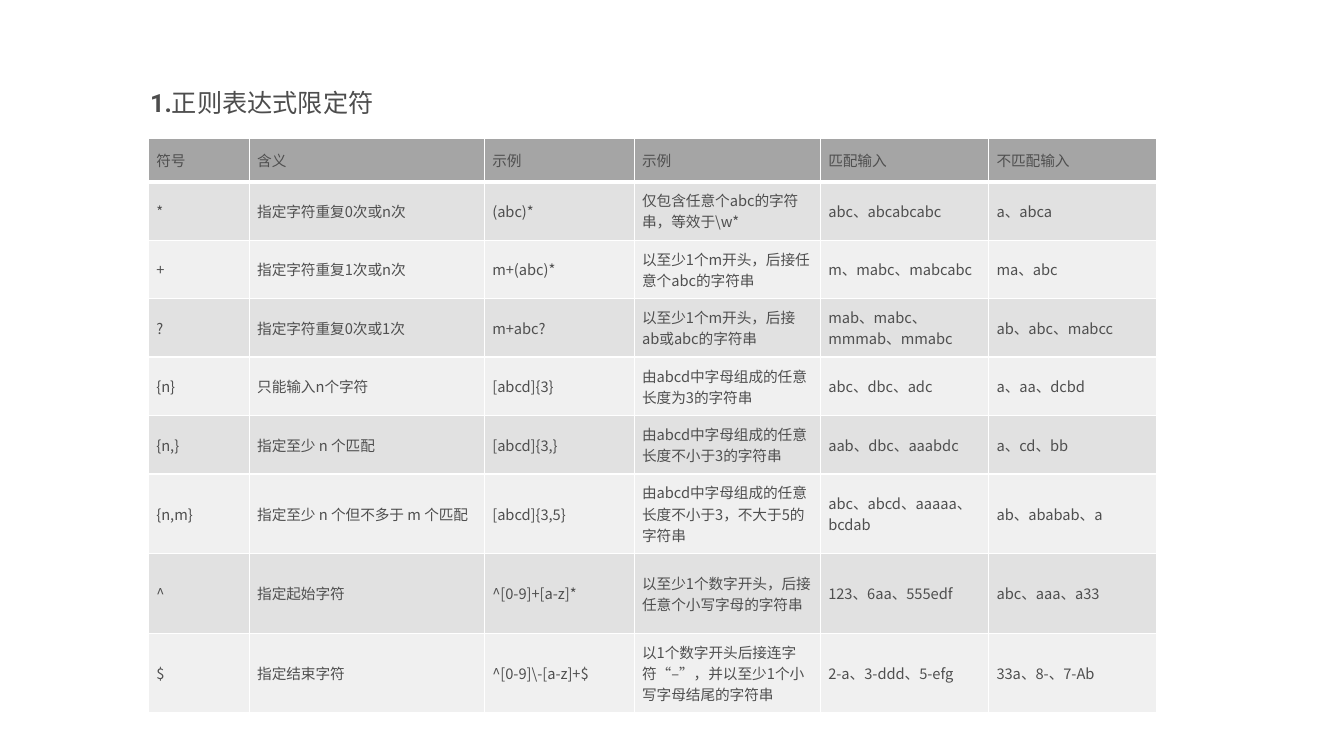
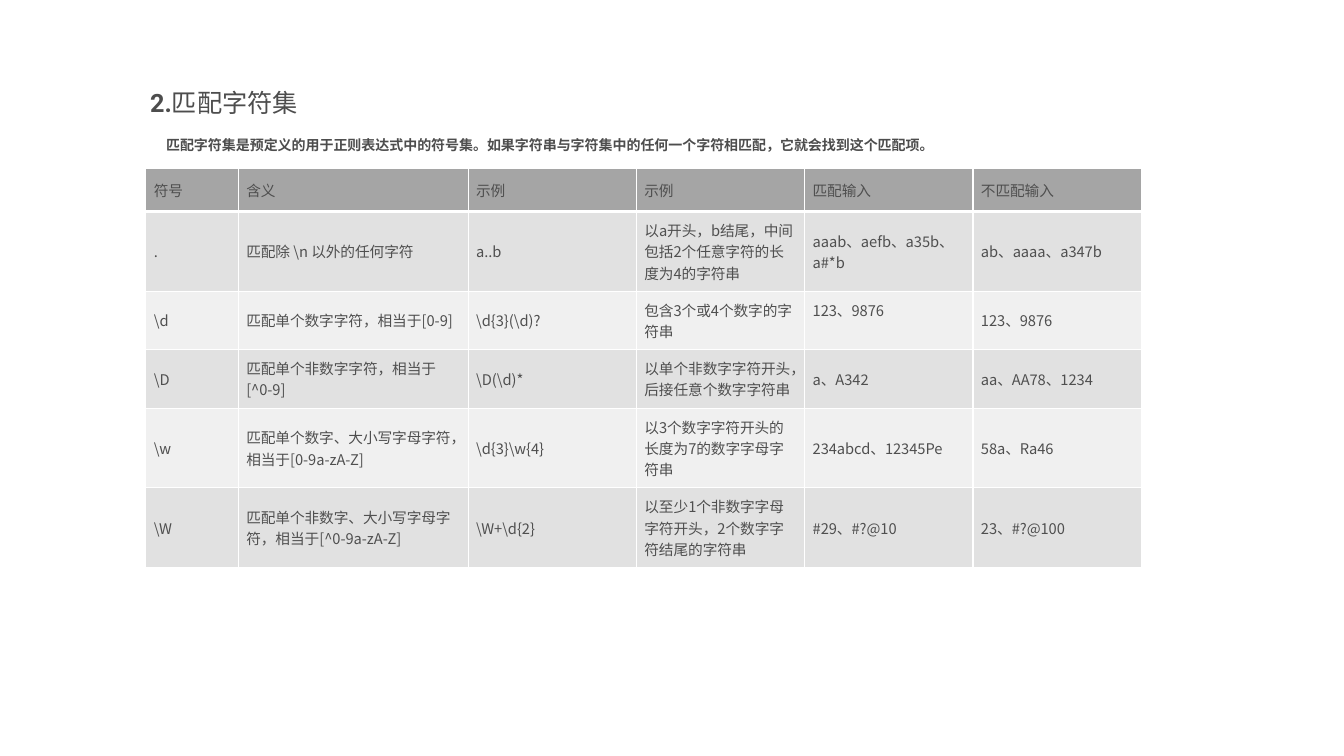
from lxml.etree import SubElement
from pptx import Presentation
from pptx.dml.color import RGBColor
from pptx.enum.text import MSO_ANCHOR, MSO_AUTO_SIZE, PP_ALIGN
from pptx.oxml.ns import qn
from pptx.util import Pt

TITLE_INK = "4D4D4D"
CELL_INK = "4F4F4F"
HEADER_FILL = "A5A5A5"
BAND_FILLS = ("E1E1E1", "F0F0F0")
RULE = "FFFFFF"
LATIN_FONT = "Roboto"
CJK_FONT = "Noto Sans CJK SC"
TITLE_ONLY = 5
CELL_INSET = 5.75
HEADER_HEIGHT, ROW_HEIGHT, TALL_ROW_HEIGHT = 31, 41, 51

HEADINGS = ("符号", "含义", "示例", "示例", "匹配输入", "不匹配输入")

QUANTIFIERS = (
    ("*", "指定字符重复0次或n次", "(abc)*",
     "仅包含任意个abc的字符串，等效于\\w*", "abc、abcabcabc", "a、abca"),
    ("+", "指定字符重复1次或n次", "m+(abc)*",
     "以至少1个m开头，后接任意个abc的字符串", "m、mabc、mabcabc", "ma、abc"),
    ("?", "指定字符重复0次或1次", "m+abc?",
     "以至少1个m开头，后接ab或abc的字符串",
     "mab、mabc、mmmab、mmabc", "ab、abc、mabcc"),
    ("{n}", "只能输入n个字符", "[abcd]{3}",
     "由abcd中字母组成的任意长度为3的字符串", "abc、dbc、adc", "a、aa、dcbd"),
    ("{n,}", "指定至少 n 个匹配", "[abcd]{3,}",
     "由abcd中字母组成的任意长度不小于3的字符串",
     "aab、dbc、aaabdc", "a、cd、bb"),
    ("{n,m}", "指定至少 n 个但不多于 m 个匹配", "[abcd]{3,5}",
     "由abcd中字母组成的任意长度不小于3，不大于5的字符串",
     "abc、abcd、aaaaa、bcdab", "ab、ababab、a"),
    ("^", "指定起始字符", "^[0-9]+[a-z]*",
     "以至少1个数字开头，后接任意个小写字母的字符串",
     "123、6aa、555edf", "abc、aaa、a33"),
    ("$", "指定结束字符", "^[0-9]\\-[a-z]+$",
     "以1个数字开头后接连字符“–”，并以至少1个小写字母结尾的字符串",
     "2-a、3-ddd、5-efg", "33a、8-、7-Ab"),
)

CHARACTER_SETS = (
    (".", "匹配除 \\n 以外的任何字符", "a..b",
     "以a开头，b结尾，中间包括2个任意字符的长度为4的字符串",
     "aaab、aefb、a35b、a#*b", "ab、aaaa、a347b"),
    ("\\d", "匹配单个数字字符，相当于[0-9]", "\\d{3}(\\d)?",
     "包含3个或4个数字的字符串", "123、9876", "123、9876"),
    ("\\D", "匹配单个非数字字符，相当于[^0-9]", "\\D(\\d)*",
     "以单个非数字字符开头，后接任意个数字字符串",
     "a、A342", "aa、AA78、1234"),
    ("\\w", "匹配单个数字、大小写字母字符，相当于[0-9a-zA-Z]", "\\d{3}\\w{4}",
     "以3个数字字符开头的长度为7的数字字母字符串",
     "234abcd、12345Pe", "58a、Ra46"),
    ("\\W", "匹配单个非数字、大小写字母字符，相当于[^0-9a-zA-Z]", "\\W+\\d{2}",
     "以至少1个非数字字母字符开头，2个数字字符结尾的字符串",
     "#29、#?@10", "23、#?@100"),
)

CHARACTER_SETS_INTRO = (
    "匹配字符集是预定义的用于正则表达式中的符号集。"
    "如果字符串与字符集中的任何一个字符相匹配，它就会找到这个匹配项。"
)


def color(hex_code):
    """Turn a hex string into a colour."""
    return RGBColor.from_string(hex_code)


def style_paragraph(paragraph, size, ink, latin=LATIN_FONT, bold=None):
    """Set size, colour and both the Latin and the East Asian font."""
    font = paragraph.font
    font.size = Pt(size)
    font.bold = bold
    font.color.rgb = color(ink)
    font.name = latin
    defaults = paragraph._p.get_or_add_pPr().find(qn("a:defRPr"))
    SubElement(defaults, qn("a:ea"), typeface=CJK_FONT)


def add_titled_slide(deck, number, heading):
    """Add a slide whose title has a bold number and a plain heading."""
    slide = deck.slides.add_slide(deck.slide_layouts[TITLE_ONLY])
    title = slide.shapes.title
    title.left, title.top = Pt(100), Pt(50.4)
    title.width, title.height = Pt(720), Pt(37.4)
    frame = title.text_frame
    frame.auto_size = MSO_AUTO_SIZE.NONE
    frame.vertical_anchor = MSO_ANCHOR.BOTTOM
    paragraph = frame.paragraphs[0]
    paragraph.alignment = PP_ALIGN.LEFT
    paragraph.line_spacing = 0.9
    style_paragraph(paragraph, 18, TITLE_INK)
    for words, bold in ((number, True), (heading, False)):
        run = paragraph.add_run()
        run.text = words
        run.font.bold = bold
    return slide


def add_intro(slide, words):
    """Add the bold one-line sentence above a table."""
    intro = slide.shapes.add_textbox(Pt(111.6), Pt(94.3), Pt(570), Pt(19.4))
    frame = intro.text_frame
    frame.word_wrap = False
    frame.auto_size = MSO_AUTO_SIZE.SHAPE_TO_FIT_TEXT
    frame.text = words
    style_paragraph(frame.paragraphs[0], 10, TITLE_INK, bold=True)


def add_borders(cell, top, bottom):
    """Draw the white rules of a cell; top and bottom are widths in points."""
    properties = cell._tc.get_or_add_tcPr()
    for side, width in (("L", 1), ("R", 1), ("T", top), ("B", bottom)):
        line = SubElement(properties, qn(f"a:ln{side}"), w=str(Pt(width)))
        fill = SubElement(line, qn("a:solidFill"))
        SubElement(fill, qn("a:srgbClr"), val=RULE)


def format_cell(cell, words, row):
    """Write one cell, with the rules and the fill that its row calls for."""
    cell.text = words
    cell.vertical_anchor = MSO_ANCHOR.MIDDLE
    cell.margin_left = cell.margin_right = Pt(CELL_INSET)
    cell.margin_top = cell.margin_bottom = Pt(CELL_INSET)
    style_paragraph(cell.text_frame.paragraphs[0], 10.5, CELL_INK, CJK_FONT)
    add_borders(cell, 3 if row == 1 else 1, 3 if row == 0 else 1)
    cell.fill.solid()
    band = BAND_FILLS[(row - 1) % 2] if row else HEADER_FILL
    cell.fill.fore_color.rgb = color(band)


def add_symbol_table(slide, left, top, widths, symbols, tall_rows=()):
    """Add a table of symbols under the shared headings."""
    heights = [HEADER_HEIGHT] + [
        TALL_ROW_HEIGHT if row in tall_rows else ROW_HEIGHT
        for row in range(1, len(symbols) + 1)
    ]
    table = slide.shapes.add_table(
        len(heights), len(widths), Pt(left), Pt(top),
        Pt(sum(widths)), Pt(sum(heights))).table
    table.first_row = table.horz_banding = False
    for column, width in zip(table.columns, widths):
        column.width = Pt(width)
    for row, entries in enumerate((HEADINGS, *symbols)):
        table.rows[row].height = Pt(heights[row])
        for column, words in enumerate(entries):
            format_cell(table.cell(row, column), words, row)
    return table


def main():
    """Build both slides and save them."""
    deck = Presentation()
    deck.slide_width, deck.slide_height = Pt(960), Pt(540)

    quantifiers = add_titled_slide(deck, "1.", "正则表达式限定符")
    add_symbol_table(quantifiers, 106, 98.8, (72, 168, 107, 133, 120.2, 120.2),
                     QUANTIFIERS, tall_rows=(6, 8))

    character_sets = add_titled_slide(deck, "2.", "匹配字符集")
    matches = add_symbol_table(
        character_sets, 104.2, 120.2, (66, 164.2) + (120.2,) * 4, CHARACTER_SETS)
    matches.cell(2, 4).vertical_anchor = MSO_ANCHOR.TOP
    add_intro(character_sets, CHARACTER_SETS_INTRO)

    deck.save("out.pptx")


main()
